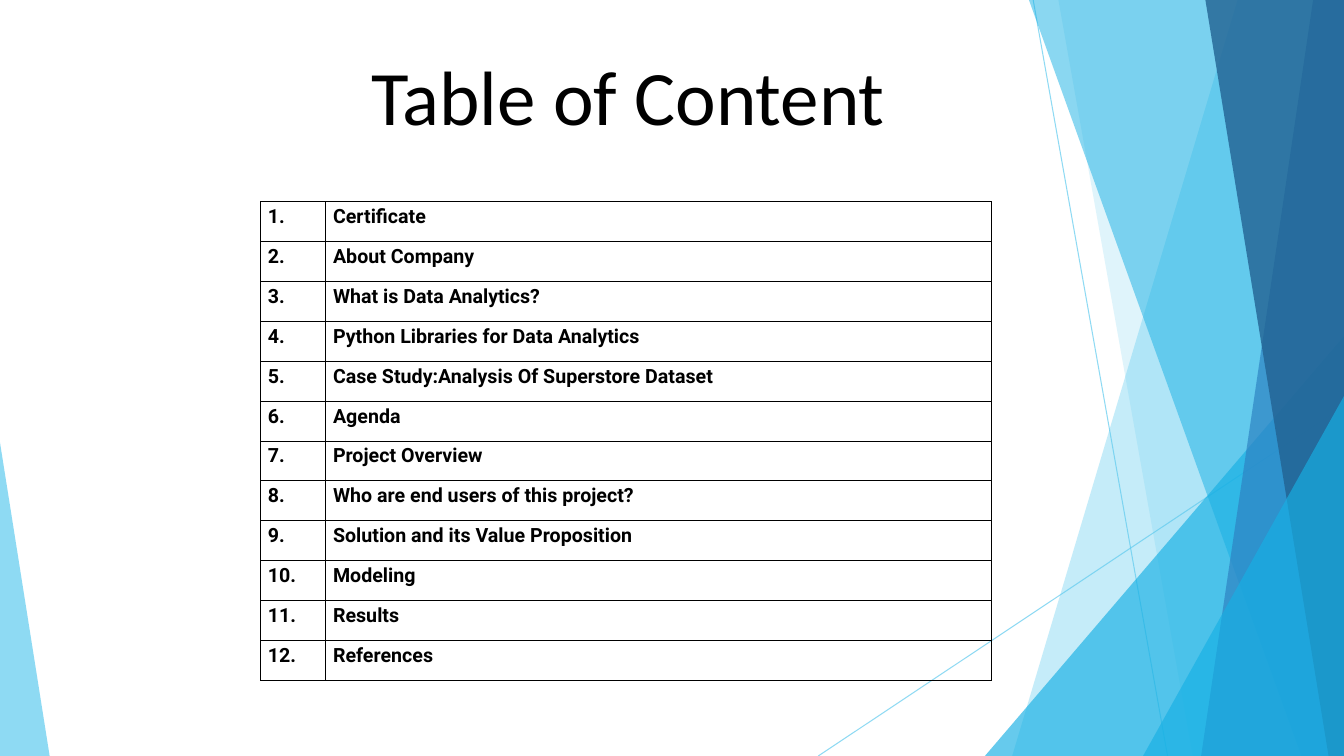
from dataclasses import dataclass

import lxml.etree
import pptx
import pptx.dml.color
import pptx.enum.shapes
import pptx.enum.text
import pptx.oxml
import pptx.oxml.ns
import pptx.util

Pt = pptx.util.Pt
qn = pptx.oxml.ns.qn

WIDTH, HEIGHT = 960, 540
COLORS = {
    "sky": "5FCBEF",
    "cyan": "17B0E4",
    "blue": "2E83C3",
    "navy": "226292",
    "black": "000000",
}
TOPICS = [
    "Certificate",
    "About Company",
    "What is Data Analytics?",
    "Python Libraries for Data Analytics",
    "Case Study:Analysis Of Superstore Dataset",
    "Agenda",
    "Project Overview",
    "Who are end users of this project?",
    "Solution and its Value Proposition",
    "Modeling",
    "Results",
    "References",
]
COLUMN_WIDTHS = (46.5, 475.5)
ROW_HEIGHT = 28.5


@dataclass
class Ray:
    start: tuple[float, float]
    end: tuple[float, float]


@dataclass
class Panel:
    top_left: float
    bottom_left: float
    color: str
    opacity: int


@dataclass
class Triangle:
    left: float
    top: float
    width: float
    apex: float
    color: str
    opacity: int


RAYS = [Ray((738, 0), (834, HEIGHT)), Ray((WIDTH, 290), (584.5, HEIGHT))]
FACETS = [
    Panel(884, 723, "sky", 36),
    Panel(756, 852, "sky", 20),
    Triangle(703.5, 240, 256.5, 1, "cyan", 66),
    Panel(735, 929.5, "cyan", 50),
    Panel(938, 858, "blue", 70),
    Panel(861, 949, "navy", 80),
    Triangle(816.5, 283, 143.5, 1, "cyan", 66),
    Triangle(0, 316, 35.5, 0, "sky", 70),
]


def rgb(name: str) -> pptx.dml.color.RGBColor:
    return pptx.dml.color.RGBColor.from_string(COLORS[name])


def set_opacity(element, percent: int) -> None:
    """Make the solid colour directly inside the fill or line translucent."""
    color = element.find(f"{qn('a:solidFill')}/{qn('a:srgbClr')}")
    lxml.etree.SubElement(color, qn("a:alpha"), val=str(percent * 1000))


def draw_ray(slide, ray: Ray) -> None:
    line = slide.shapes.add_connector(
        pptx.enum.shapes.MSO_CONNECTOR.STRAIGHT,
        *(Pt(value) for value in ray.start + ray.end),
    )
    line.line.color.rgb = rgb("sky")
    line.line.width = Pt(0.75)
    properties = line.element.spPr
    set_opacity(properties.find(qn("a:ln")), 70)
    lxml.etree.SubElement(properties, qn("a:effectLst"))


def add_panel(slide, panel: Panel):
    """Add a four-sided facet that reaches the right edge of the slide."""
    builder = slide.shapes.build_freeform(Pt(panel.top_left), 0)
    corners = [(WIDTH, 0), (WIDTH, HEIGHT), (panel.bottom_left, HEIGHT)]
    builder.add_line_segments([(Pt(x), Pt(y)) for x, y in corners], close=True)
    return builder.convert_to_shape()


def add_triangle(slide, triangle: Triangle):
    """Add a triangle that stands on the bottom edge of the slide."""
    shape = slide.shapes.add_shape(
        pptx.enum.shapes.MSO_SHAPE.ISOSCELES_TRIANGLE,
        Pt(triangle.left),
        Pt(triangle.top),
        Pt(triangle.width),
        Pt(HEIGHT - triangle.top),
    )
    shape.adjustments[0] = triangle.apex
    return shape


def draw_facet(slide, facet: Panel | Triangle) -> None:
    add = add_panel if isinstance(facet, Panel) else add_triangle
    shape = add(slide, facet)
    shape.shadow.inherit = False
    shape.line.fill.background()
    shape.fill.solid()
    shape.fill.fore_color.rgb = rgb(facet.color)
    set_opacity(shape.element.spPr, facet.opacity)


def set_margins(target) -> None:
    target.margin_left = target.margin_right = Pt(5.4)
    target.margin_top = target.margin_bottom = Pt(2.7)


def set_borders(cell) -> None:
    properties = cell._tc.get_or_add_tcPr()
    for index, side in enumerate(("lnL", "lnR", "lnT", "lnB")):
        border = lxml.etree.Element(qn(f"a:{side}"), w=str(Pt(0.5)))
        fill = lxml.etree.SubElement(border, qn("a:solidFill"))
        lxml.etree.SubElement(fill, qn("a:srgbClr"), val=COLORS["black"])
        properties.insert(index, border)


def fill_cell(cell, text: str) -> None:
    cell.text = text
    set_margins(cell)
    cell.fill.background()
    set_borders(cell)
    font = cell.text_frame.paragraphs[0].font
    font.name, font.size, font.bold = "Roboto", Pt(14), True
    font.color.rgb = rgb("black")


def draw_contents(slide) -> None:
    table = slide.shapes.add_table(
        len(TOPICS), 2, Pt(186), Pt(144),
        Pt(sum(COLUMN_WIDTHS)), Pt(ROW_HEIGHT * len(TOPICS)),
    ).table
    table.first_row = table.horz_banding = False
    for column, width in zip(table.columns, COLUMN_WIDTHS):
        column.width = Pt(width)
    for index, topic in enumerate(TOPICS):
        table.rows[index].height = Pt(ROW_HEIGHT)
        fill_cell(table.cell(index, 0), f"{index + 1}.")
        fill_cell(table.cell(index, 1), topic)


def format_title(title) -> None:
    title.left, title.top = Pt(139.5), Pt(29.5)
    title.width, title.height = Pt(618), Pt(75)
    frame = title.text_frame
    frame.text = "Table of Content"
    frame.word_wrap = True
    frame.auto_size = pptx.enum.text.MSO_AUTO_SIZE.NONE
    frame.vertical_anchor = pptx.enum.text.MSO_ANCHOR.BOTTOM
    set_margins(frame)
    para = frame.paragraphs[0]
    para.alignment = pptx.enum.text.PP_ALIGN.CENTER
    para.line_spacing = 0.9
    para.font.name, para.font.size = "Calibri", Pt(55)
    para.font.color.rgb = rgb("black")


def main() -> None:
    deck = pptx.Presentation()
    deck.slide_width, deck.slide_height = Pt(WIDTH), Pt(HEIGHT)
    slide = deck.slides.add_slide(deck.slide_layouts.get_by_name("Title Only"))
    for ray in RAYS:
        draw_ray(slide, ray)
    for facet in FACETS:
        draw_facet(slide, facet)
    draw_contents(slide)
    format_title(slide.shapes.title)
    deck.save("out.pptx")


if __name__ == "__main__":
    main()
